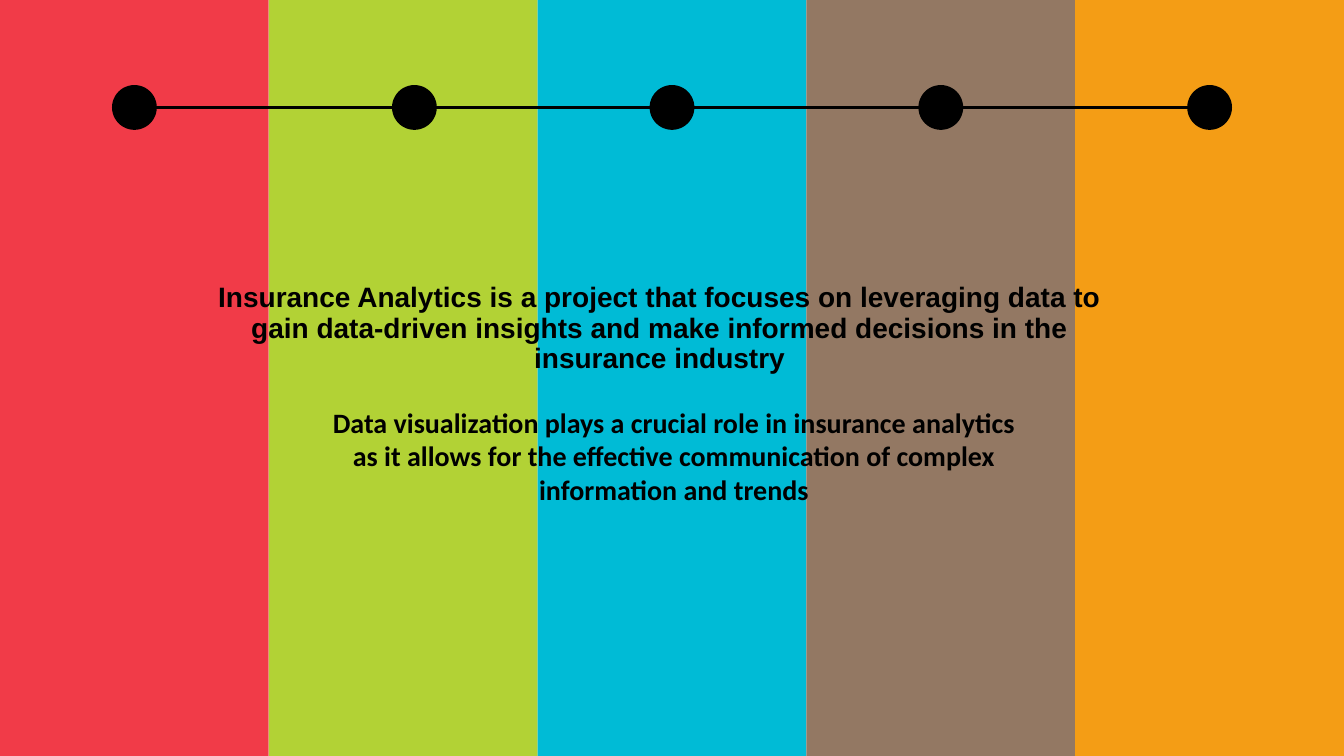
from dataclasses import dataclass

from lxml import etree
from pptx import Presentation
from pptx.dml.color import RGBColor
from pptx.enum.shapes import MSO_CONNECTOR, MSO_SHAPE
from pptx.enum.text import MSO_ANCHOR, MSO_AUTO_SIZE, PP_ALIGN
from pptx.oxml.ns import qn
from pptx.util import Pt

RECTANGLE, OVAL = MSO_SHAPE.RECTANGLE, MSO_SHAPE.OVAL
STRAIGHT = MSO_CONNECTOR.STRAIGHT
CENTER = PP_ALIGN.CENTER
TOP, MIDDLE = MSO_ANCHOR.TOP, MSO_ANCHOR.MIDDLE
NO_FIT, GROW = MSO_AUTO_SIZE.NONE, MSO_AUTO_SIZE.SHAPE_TO_FIT_TEXT


@dataclass(frozen=True)
class Theme:
    bands: tuple = ("F13B48", "B2D235", "00BBD6", "937863", "F49D15")
    ink: str = "000000"
    text_size: float = 20
    line_width: float = 2.25
    heading_font: str = "Arial"
    body_font: str = "Calibri"


THEME = Theme()
WIDTH, HEIGHT = 960, 540
BAND_WIDTH = WIDTH / len(THEME.bands)
TIMELINE_Y = 76.75
DOT_SIZE = 32
DOT_CENTERS = (96, 296, 480, 672, 864)


def write(placeholder, text, *, box, font, anchor, fit, insets, spacing):
    """Fill a placeholder, place it in box and bring it to the front."""
    placeholder.left, placeholder.top, placeholder.width, placeholder.height = map(Pt, box)
    frame = placeholder.text_frame
    frame.text = text
    frame.word_wrap = True
    frame.auto_size = fit
    frame.vertical_anchor = anchor
    frame.margin_left = frame.margin_right = Pt(insets[0])
    frame.margin_top = frame.margin_bottom = Pt(insets[1])
    paragraph = frame.paragraphs[0]
    paragraph.alignment = CENTER
    paragraph.line_spacing = spacing
    letters = paragraph.runs[0].font
    letters.name, letters.size, letters.bold = font, Pt(THEME.text_size), True
    letters.color.rgb = RGBColor.from_string(THEME.ink)
    placeholder.element.getparent().append(placeholder.element)


def add_filled(kind, left, top, width, height, color):
    shape = slide.shapes.add_shape(kind, Pt(left), Pt(top), Pt(width), Pt(height))
    shape.shadow.inherit = False
    shape.fill.solid()
    shape.fill.fore_color.rgb = RGBColor.from_string(color)
    shape.line.fill.background()


presentation = Presentation()
presentation.slide_width, presentation.slide_height = Pt(WIDTH), Pt(HEIGHT)
slide = presentation.slides.add_slide(presentation.slide_layouts[0])

for index, color in enumerate(THEME.bands):
    add_filled(RECTANGLE, index * BAND_WIDTH, 0, BAND_WIDTH, HEIGHT, color)

for start, end in zip(DOT_CENTERS, DOT_CENTERS[1:]):
    link = slide.shapes.add_connector(
        STRAIGHT, Pt(start), Pt(TIMELINE_Y), Pt(end), Pt(TIMELINE_Y))
    link.line.color.rgb = RGBColor.from_string(THEME.ink)
    link.line.width = Pt(THEME.line_width)
    etree.SubElement(link.element.spPr, qn("a:effectLst"))

for center in DOT_CENTERS:
    add_filled(OVAL, center - DOT_SIZE / 2, TIMELINE_Y - DOT_SIZE / 2,
               DOT_SIZE, DOT_SIZE, THEME.ink)

write(slide.shapes.title,
      "Insurance Analytics is a project that focuses on leveraging data to gain "
      "data-driven insights and make informed decisions in the insurance industry",
      box=(141.8, 206.6, 658.8, 56.9), font=THEME.heading_font,
      anchor=MIDDLE, fit=NO_FIT, insets=(7.2, 3.6), spacing=0.9)
write(slide.placeholders[1],
      "Data visualization plays a crucial role in insurance analytics as it allows "
      "for the effective communication of complex information and trends",
      box=(218.2, 284.4, 526.3, 82.1), font=THEME.body_font,
      anchor=TOP, fit=GROW, insets=(9.4, 5), spacing=1.0)

presentation.save("out.pptx")
